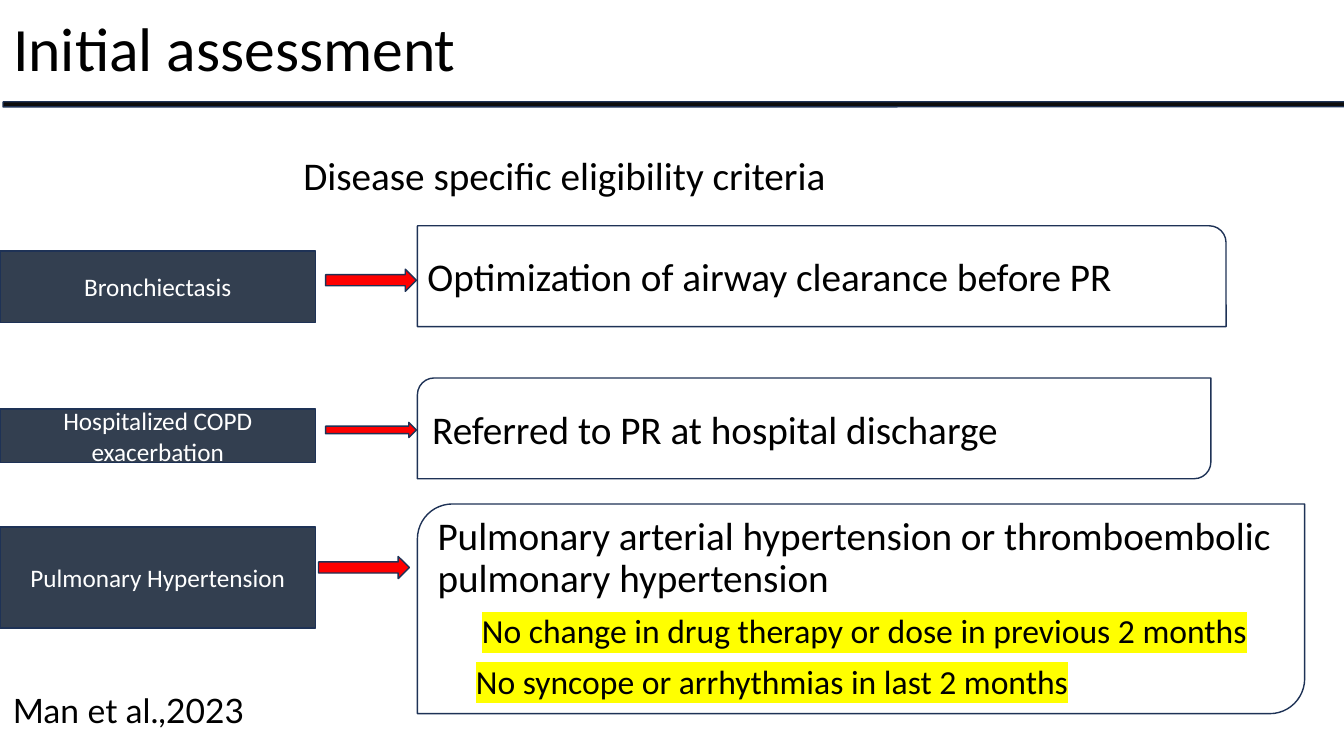
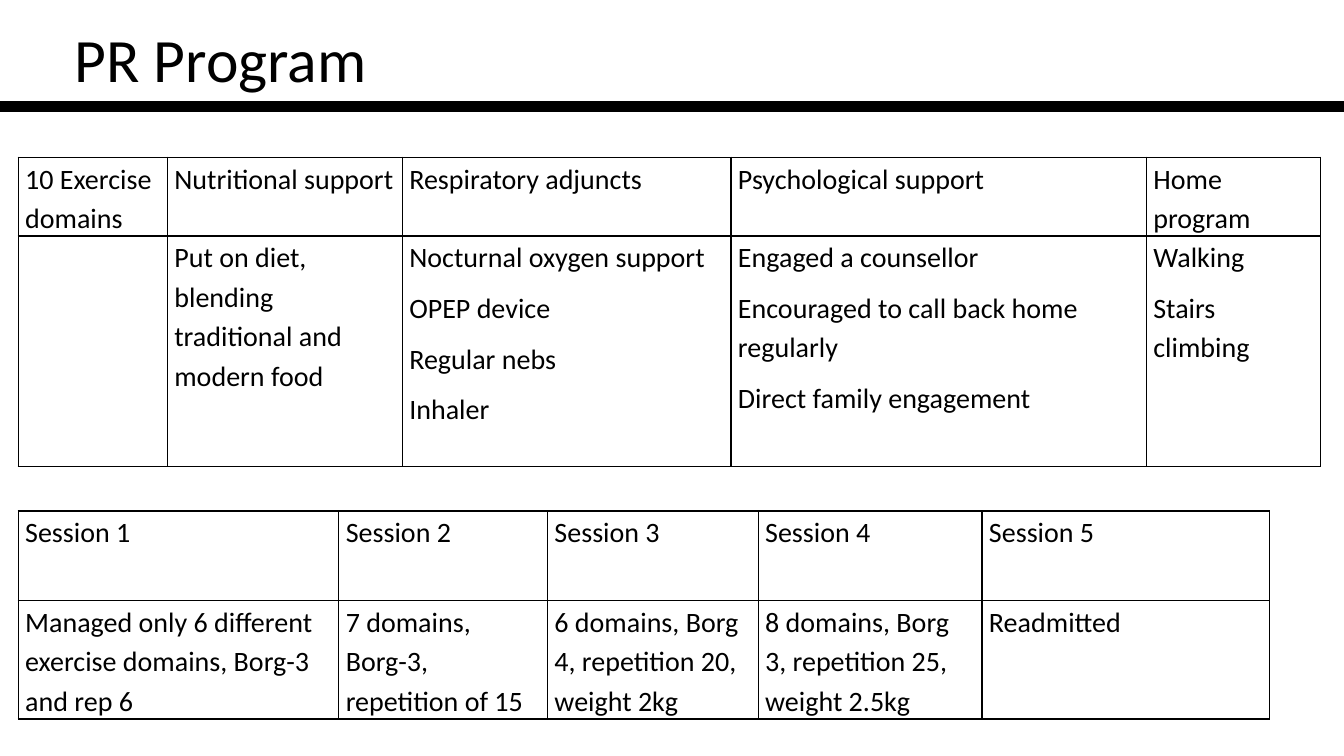
from dataclasses import dataclass

from lxml.etree import SubElement
from pptx import Presentation
from pptx.dml.color import RGBColor
from pptx.enum.shapes import MSO_SHAPE as Kind
from pptx.enum.text import MSO_ANCHOR as Anchor, PP_ALIGN as Align
from pptx.oxml import parse_xml
from pptx.oxml.ns import nsdecls, qn
from pptx.util import Inches, Pt


@dataclass(frozen=True)
class Theme:
    ink: str = "000000"
    paper: str = "FFFFFF"
    bar: str = "0D0D0D"
    edge: str = "1E3256"
    slate: str = "333F50"
    red: str = "FF0000"
    mark: str = "FFFF00"
    face: str = "Calibri"
    cite: str = "Lato"
    title: int = 44
    head: int = 28
    note: int = 24
    cell: int = 20
    label: int = 18


T = Theme()
TIGHT = {"line_spacing": 0.9}
LOOSE = {"line_spacing": 1.15, "space_after": Pt(8)}
PAD = {"margin_left": Inches(0.07), "margin_right": Inches(0.07),
       "margin_top": 0, "margin_bottom": 0}


def apply(thing, form):
    for key, value in form.items():
        setattr(thing, key, value)


def span(box):
    return [Inches(part) for part in box]


def write(para, text, size, color=T.ink, face=T.face, form=None):
    apply(para, form or {})
    run = para.add_run()
    run.text = text
    apply(run.font, {"size": Pt(size), "name": face})
    run.font.color.rgb = RGBColor.from_string(color)
    return run


def shade(run, color):
    mark = parse_xml(f'<a:highlight {nsdecls("a")}><a:srgbClr val="{color}"/></a:highlight>')
    run.font.fill
    run._r.rPr.find(qn("a:latin")).addprevious(mark)


def add_form(slide, kind, box, fill, edge=T.edge):
    form = slide.shapes.add_shape(kind, *span(box))
    form.shadow.inherit = False
    form.fill.solid()
    form.fill.fore_color.rgb = RGBColor.from_string(fill)
    form.line.color.rgb = RGBColor.from_string(edge)
    form.line.width = Pt(1)
    apply(form.text_frame, {"word_wrap": True, "vertical_anchor": Anchor.MIDDLE})
    return form


def add_title(slide, text, box):
    title = slide.shapes.title
    apply(title, dict(zip(("left", "top", "width", "height"), span(box))))
    apply(title.text_frame, {"word_wrap": True, "vertical_anchor": Anchor.MIDDLE})
    write(title.text_frame.paragraphs[0], text, T.title,
          form={**TIGHT, "alignment": Align.LEFT})


def add_note(slide, text, box, size, face=T.face):
    frame = slide.shapes.add_textbox(*span(box)).text_frame
    frame.word_wrap = True
    write(frame.paragraphs[0], text, size, face=face)


def add_label(slide, text, box):
    label = add_form(slide, Kind.RECTANGLE, box, T.slate)
    write(label.text_frame.paragraphs[0], text, T.label, T.paper,
          form={"alignment": Align.CENTER})


def add_rule(slide, kind, text, box, points=()):
    frame = add_form(slide, kind, box, T.paper).text_frame
    first = {"alignment": Align.LEFT, **(TIGHT if points else {})}
    write(frame.paragraphs[0], text, T.head, form=first)
    for point, inset in points:
        para = frame.add_paragraph()
        para._p.get_or_add_pPr().set("marL", str(Inches(inset)))
        form = {**TIGHT, "alignment": Align.LEFT, "space_before": Pt(10)}
        shade(write(para, point, T.note, form=form), T.mark)


def add_edges(cell):
    props = cell._tc.get_or_add_tcPr()
    for side in "LRTB":
        line = SubElement(props, qn(f"a:ln{side}"), w=str(Pt(1)))
        SubElement(SubElement(line, qn("a:solidFill")), qn("a:srgbClr"), val=T.ink)


def fill_cell(cell, text):
    add_edges(cell)
    cell.fill.background()
    apply(cell, PAD)
    for at, line in enumerate(text.split("\n") if text else ()):
        frame = cell.text_frame
        para = frame.add_paragraph() if at else frame.paragraphs[0]
        write(para, line, T.cell, form=LOOSE)


def add_grid(slide, left, top, cols, rows, data):
    box = (left, top, sum(cols), sum(rows))
    grid = slide.shapes.add_table(len(rows), len(cols), *span(box)).table
    apply(grid, {"first_row": False, "horz_banding": False})
    for col, width in zip(grid.columns, cols):
        col.width = Inches(width)
    for row, height, texts in zip(grid.rows, rows, data):
        row.height = Inches(height)
        for cell, text in zip(row.cells, texts):
            fill_cell(cell, text)


def add_intro(slide):
    add_title(slide, "Initial assessment", (0.03, 0.05, 11.5, 0.92))
    add_form(slide, Kind.ROUND_2_DIAG_RECTANGLE, (0.03, 1.01, 13.31, 0.05), T.bar)
    add_note(slide, "Disease specific eligibility criteria", (2.91, 1.45, 6.79, 0.57), T.head)
    add_note(slide, "Man et al.,2023", (0.03, 6.8, 6.74, 0.5), T.note, T.cite)
    points = (("No change in drug therapy or dose in previous 2 months", 0.44),
              ("No syncope or arrhythmias in last 2 months", 0.38))
    bands = (
        ("Bronchiectasis", (2.49, 0.71), (3.23, 2.67, 0.9, 0.22),
         Kind.ROUND_1_RECTANGLE, "Optimization of airway clearance before PR",
         (4.14, 2.24, 8.02, 1), ()),
        ("Hospitalized COPD exacerbation", (4.06, 0.53), (3.23, 4.19, 0.9, 0.15),
         Kind.ROUND_2_DIAG_RECTANGLE, "Referred to PR at hospital discharge",
         (4.14, 3.75, 7.87, 1), ()),
        ("Pulmonary Hypertension", (5.23, 1), (3.16, 5.52, 0.9, 0.22),
         Kind.ROUND_2_DIAG_RECTANGLE,
         "Pulmonary arterial hypertension or thromboembolic pulmonary hypertension",
         (4.14, 5, 8.8, 2.08), points),
    )
    for label, (top, height), arrow, kind, text, box, extra in bands:
        add_label(slide, label, (0, top, 3.13, height))
        add_form(slide, Kind.RIGHT_ARROW, arrow, T.red)
        add_rule(slide, kind, text, box, extra)


def add_plan(slide):
    add_title(slide, "PR Program", (0.64, 0.13, 11.5, 0.98))
    add_form(slide, Kind.RECTANGLE, (0, 1.01, 13.33, 0.09), T.ink, T.ink)
    add_grid(slide, 0.18, 1.56, (1.48, 2.33, 3.26, 4.12, 1.73), (0.78, 2.29), (
        ("10 Exercise domains", "Nutritional support", "Respiratory adjuncts",
         "Psychological support", "Home program"),
        ("", "Put on diet, blending traditional and modern food",
         "Nocturnal oxygen support\nOPEP device\nRegular nebs\nInhaler",
         "Engaged a counsellor\nEncouraged to call back home regularly\n"
         "Direct family engagement",
         "Walking\nStairs climbing"),
    ))
    add_grid(slide, 0.18, 5.07, (3.18, 2.07, 2.09, 2.22, 2.85), (0.89, 1.17), (
        [f"Session {count}" for count in range(1, 6)],
        ("Managed only 6 different exercise domains, Borg-3 and rep 6",
         "7 domains, Borg-3, repetition of 15",
         "6 domains, Borg 4, repetition 20, weight 2kg",
         "8 domains, Borg 3, repetition 25, weight 2.5kg",
         "Readmitted"),
    ))


def main():
    deck = Presentation()
    apply(deck, {"slide_width": Inches(13.33), "slide_height": Inches(7.5)})
    for build in (add_intro, add_plan):
        build(deck.slides.add_slide(deck.slide_layouts[5]))
    deck.save("out.pptx")


if __name__ == "__main__":
    main()
